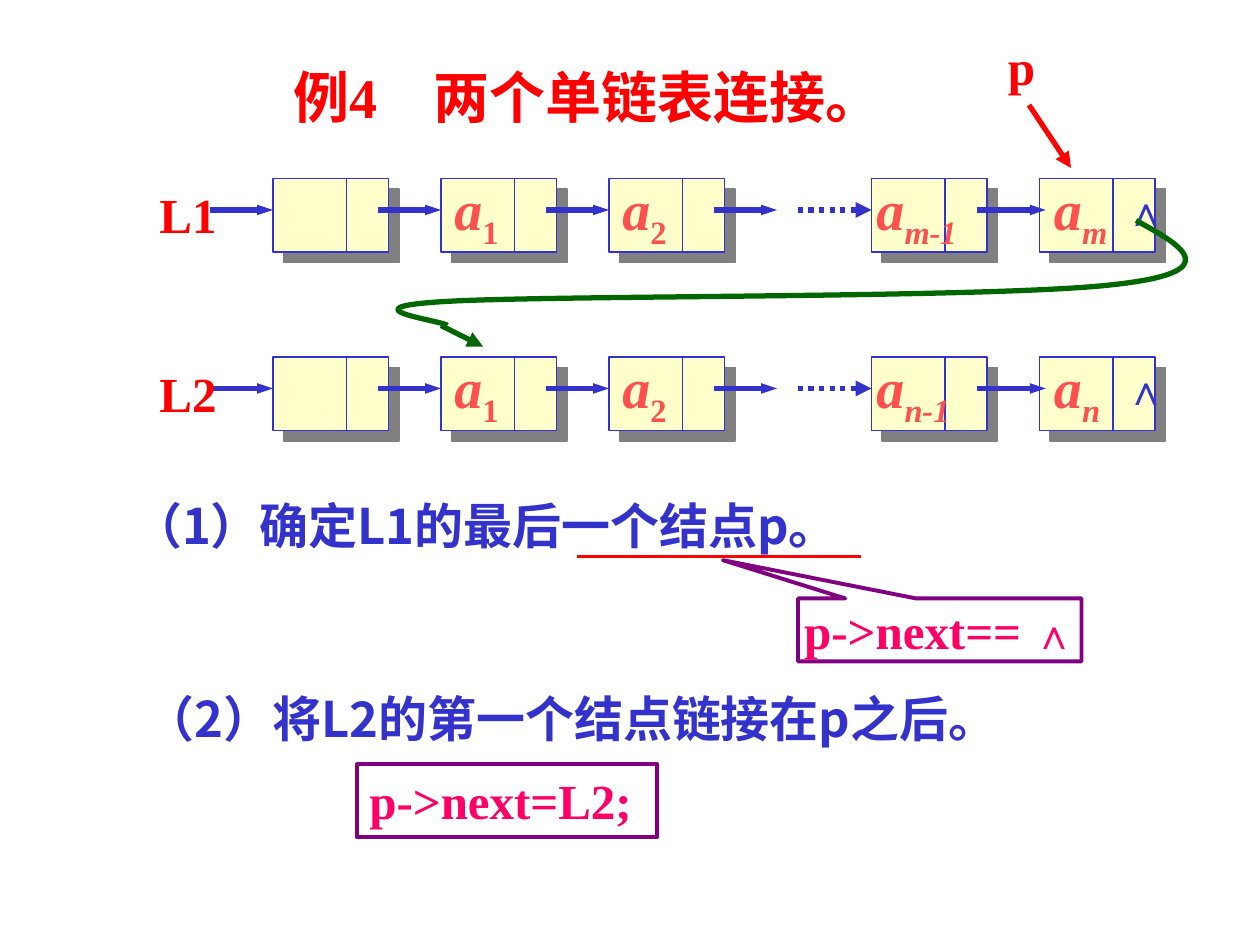
from lxml import etree
from pptx import Presentation
from pptx.dml.color import RGBColor
from pptx.enum.dml import MSO_LINE
from pptx.enum.shapes import MSO_CONNECTOR, MSO_SHAPE
from pptx.enum.text import MSO_ANCHOR, PP_ALIGN
from pptx.oxml.ns import qn
from pptx.util import Inches, Pt

RECT, CALL = MSO_SHAPE.RECTANGLE, MSO_SHAPE.RECTANGULAR_CALLOUT
LINE, DOTS = MSO_CONNECTOR.STRAIGHT, MSO_LINE.ROUND_DOT
LEFT, MID, RIGHT = PP_ALIGN.LEFT, PP_ALIGN.CENTER, PP_ALIGN.RIGHT
TOP, CENTRE = MSO_ANCHOR.TOP, MSO_ANCHOR.MIDDLE
SERIF, SANS, HAN = "Times New Roman", "Arial", "Noto Sans CJK SC"
RED, BLUE, CREAM, CORAL = "FF0000", "3333CC", "FFFFCC", "FF5050"
GREEN, PLUM, PINK, GREY = "006600", "800080", "FF0066", "808080"
COLS, ROWS = 120, 90  # grid of twelfths of an inch
NODE_W, NODE_H, SPLIT, AXIS = 11, 7, 7, 3
NODES = (26, 42, 58, 83, 99)
CARET = "∧"


def unit(n):
    return Inches(n / 12)


def units(*nums):
    return [unit(n) for n in nums]


def rgb(code):
    return RGBColor.from_string(code)


def child(node, tag, **attrs):
    return etree.SubElement(node, qn(tag), attrs)


def write(shape, runs, align=LEFT, wrap=False, anchor=TOP, tab=None):
    """Fill a shape with runs of (text, size, colour, font, italic, sub)."""
    frame = shape.text_frame
    frame.word_wrap = wrap
    frame.vertical_anchor = anchor
    para = frame.paragraphs[0]
    para.alignment = align
    if tab:
        stops = child(para._p.get_or_add_pPr(), "a:tabLst")
        child(stops, "a:tab", pos=str(unit(tab)), algn="l")
    for text, size, tint, face, slant, sub in runs:
        run = para.add_run()
        run.text = text
        font = run.font
        font.size, font.bold, font.italic = Pt(size), True, slant
        font.color.rgb = rgb(tint)
        font.name = face
        child(font._element, "a:ea", typeface=HAN)
        if sub:
            font._element.set("baseline", "-25000")


def plain(text, size, tint, face=SERIF):
    return text, size, tint, face, False, False


def label(shapes, box, runs, **style):
    write(shapes.add_textbox(*units(*box)), runs, **style)


def stroke(shapes, start, end, tint, width=3.0, head=None):
    """Draw a line; head is the width of its arrowhead, if any."""
    line = shapes.add_connector(LINE, *units(*start, *end))
    line.line.color.rgb = rgb(tint)
    line.line.width = Pt(width)
    if head:
        child(line.line._get_or_add_ln(), "a:tailEnd",
              type="triangle", w=head, len="med")
    child(line._element.spPr, "a:effectLst")
    return line


def frame(shapes, kind, box, tint, width, fill=None):
    shape = shapes.add_shape(kind, *units(*box))
    shape.shadow.inherit = False
    if fill:
        shape.fill.solid()
        shape.fill.fore_color.rgb = rgb(fill)
    else:
        shape.fill.background()
    shape.line.color.rgb = rgb(tint)
    shape.line.width = Pt(width)
    return shape


def node(shapes, x, y):
    cell = frame(shapes, RECT, (x, y, NODE_W, NODE_H), BLUE, 0.75, CREAM)
    effects = cell._element.spPr.find(qn("a:effectLst"))
    shade = child(effects, "a:outerShdw", dist=str(Pt(8.5)), dir="2700000",
                  algn="ctr", rotWithShape="0")
    child(shade, "a:srgbClr", val=GREY)
    stroke(shapes, (x + SPLIT, y), (x + SPLIT, y + NODE_H), BLUE, 0.75)


def chain(slide, y, name, last):
    """Draw one linked list whose final index is last."""
    shapes = slide.shapes.add_group_shape().shapes
    for x in NODES:
        node(shapes, x, y)
    mid = y + AXIS
    tail = NODES[-1]
    links = [(x - 6, x) for x in (*NODES[:3], 74)] + [(tail - 6, tail + 0.6)]
    for start, end in links:
        stroke(shapes, (start, mid), (end, mid), BLUE, head="sm")
    gap = stroke(shapes, (76, mid), (NODES[3], mid), BLUE, head="med")
    gap.line.dash_style = DOTS
    items = (("1", 0.1, 6.8, False), ("2", 0.1, 6.8, False),
             (f"{last}-1", -0.7, 10.6, True), (last, 0.2, 8, True))
    for x, (index, shift, wide, slant) in zip(NODES[1:], items):
        label(shapes, (x + shift, y - 1, wide, 8.5),
              [("a", 32, CORAL, SERIF, True, False),
               (index, 32, CORAL, SERIF, slant, True)], wrap=True)
    label(shapes, (7.1, y, 14.7, 6.8), [plain(name, 28, RED)],
          align=RIGHT, wrap=True)
    label(shapes, (tail + SPLIT, y, 4.8, 6),
          [plain(CARET, 24, BLUE, SANS)], wrap=True)


def curve(shapes, points, tint):
    """Draw cubic curves through a start and triples of control points."""
    spots = [units(*p) for p in points]
    pen = shapes.build_freeform(*spots[0])
    pen.add_line_segments(spots[1:], close=False)
    shape = pen.convert_to_shape()
    shape.shadow.inherit = False
    shape.fill.background()
    shape.line.color.rgb = rgb(tint)
    shape.line.width = Pt(3)
    track = shape._element.find(".//" + qn("a:path"))
    steps = track.findall(qn("a:lnTo"))
    for i in range(0, len(steps), 3):
        bend = child(track, "a:cubicBezTo")
        for step in steps[i:i + 3]:
            bend.append(step[0])
            track.remove(step)


def joint(shapes):
    """Show p and the new link from the first list to the second."""
    label(shapes, (94.8, 2.9, 4.9, 6.8), [plain("p", 28, RED)])
    stroke(shapes, (98, 10), (102, 16), RED, head="med")
    curve(shapes, [(108.2, 21), (112.6, 23.4), (117, 25.9), (106.1, 27.1),
                   (95.2, 28.4), (53.2, 28.1), (42.6, 28.7),
                   (32, 29.3), (42.6, 30.6), (42.6, 31)], GREEN)
    stroke(shapes, (42, 31), (46, 33), GREEN, head="med")


def steps(shapes):
    label(shapes, (11.5, 46.6, 76.2, 6.8),
          [plain("（1）确定L1的最后一个结点p。", 28, BLUE, HAN)])
    stroke(shapes, (55, 53), (82, 53), RED, 2.25)
    note = frame(shapes, CALL, (76, 57, 27, 6), PLUM, 2.25)
    note.adjustments[0], note.adjustments[1] = -0.765, -1.108
    write(note, [plain("p->next== ", 28, PINK),
                 plain(CARET, 24, PINK, SANS)], align=MID, anchor=CENTRE)
    label(shapes, (12.7, 65, 90.2, 6.8),
          [plain("（2）将L2的第一个结点链接在p之后。", 28, BLUE, HAN)])
    code = frame(shapes, RECT, (34, 72.8, 28.6, 6.9), PLUM, 2.25)
    write(code, [plain("p->next=L2;", 28, PINK)])


def main():
    deck = Presentation()
    deck.slide_width, deck.slide_height = units(COLS, ROWS)
    slide = deck.slides.add_slide(deck.slide_layouts[6])
    label(slide.shapes, (26.8, 5.4, 58.3, 7.7),
          [plain("例4\t两个单链表连接。", 32, RED)], wrap=True, tab=13.3)
    chain(slide, 17, "L1", "m")
    chain(slide, 34, "L2", "n")
    joint(slide.shapes)
    steps(slide.shapes)
    deck.save("out.pptx")


if __name__ == "__main__":
    main()
